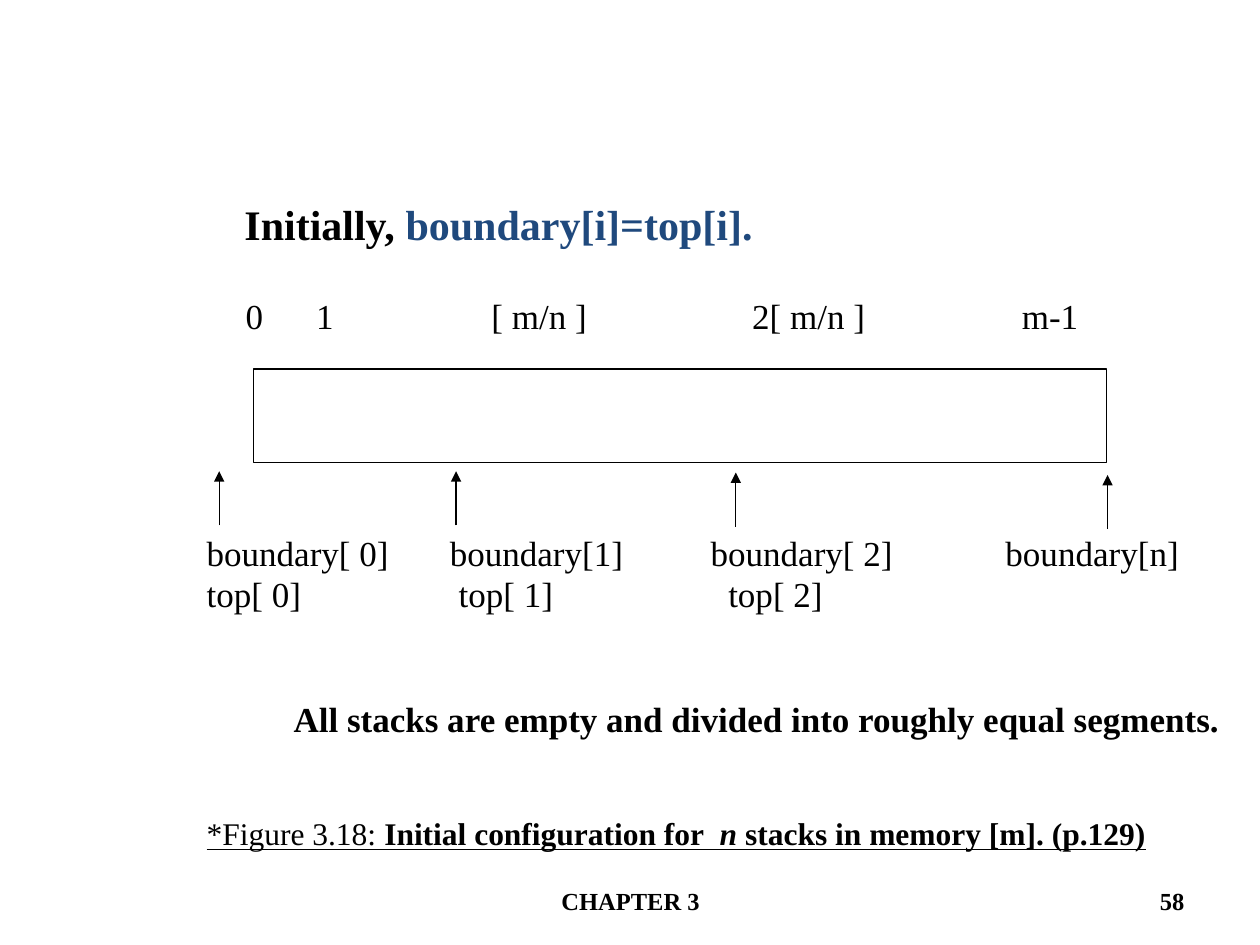
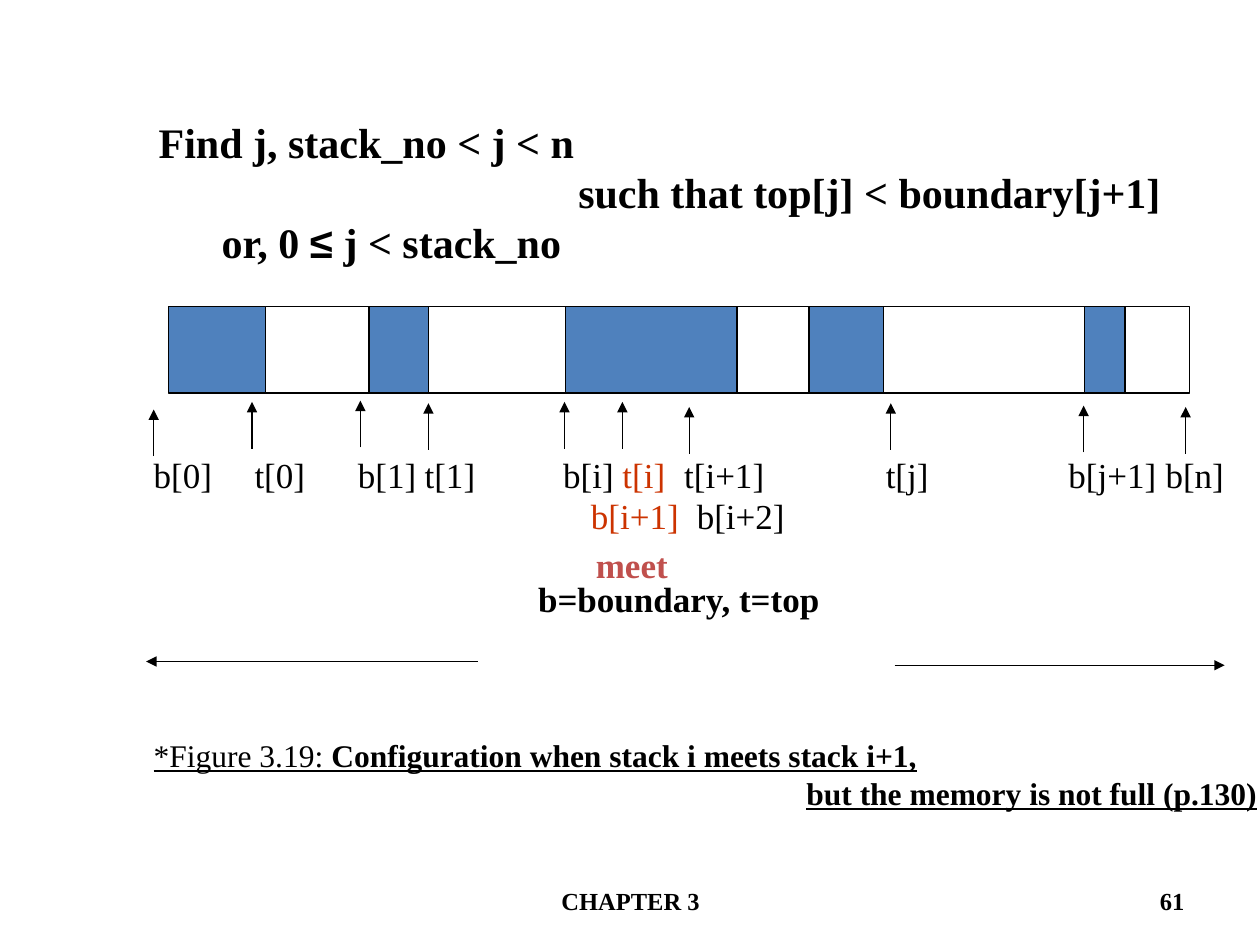
from lxml import etree
from pptx import Presentation
from pptx.dml.color import RGBColor
from pptx.enum.shapes import MSO_CONNECTOR, MSO_SHAPE
from pptx.enum.text import MSO_ANCHOR, PP_ALIGN
from pptx.oxml.ns import qn
from pptx.util import Inches, Pt

BLACK = RGBColor(0x00, 0x00, 0x00)
NAVY = RGBColor(0x1F, 0x49, 0x7D)
BLUE = RGBColor(0x4F, 0x81, 0xBD)
ORANGE = RGBColor(0xCC, 0x33, 0x00)
RED = RGBColor(0xC0, 0x50, 0x4D)

LEFT, CENTER, RIGHT = PP_ALIGN.LEFT, PP_ALIGN.CENTER, PP_ALIGN.RIGHT
TOP, MIDDLE = MSO_ANCHOR.TOP, MSO_ANCHOR.MIDDLE
RECTANGLE = MSO_SHAPE.RECTANGLE
STRAIGHT = MSO_CONNECTOR.STRAIGHT

FONT = "Times New Roman"
TITLE, LABEL, CAPTION, FOOTER = 24, 20, 18, 14
LINE_RATIO = 1.19
LINE_WIDTH = Pt(0.75)

PLAIN = {}
BOLD = {"bold": True}
UNDERLINED = {"underline": True}
BOLD_UNDERLINED = {"bold": True, "underline": True}


def add_text(slide, box, paragraphs, align=LEFT, anchor=TOP):
    """Each paragraph is (size, skipped lines before it, tab stops, runs)."""
    frame = slide.shapes.add_textbox(*map(Inches, box)).text_frame
    frame.word_wrap = True
    frame.vertical_anchor = anchor
    frame.margin_left = frame.margin_right = 0
    for number, (size, skipped, stops, runs) in enumerate(paragraphs):
        paragraph = frame.add_paragraph() if number else frame.paragraphs[0]
        if stops:
            tab_list = etree.SubElement(paragraph._p.get_or_add_pPr(), qn("a:tabLst"))
            for stop in stops:
                etree.SubElement(tab_list, qn("a:tab"), pos=str(Inches(stop)), algn="l")
        paragraph.alignment = align
        paragraph.line_spacing = Pt(size * LINE_RATIO)
        if skipped:
            paragraph.space_before = Pt(skipped * LINE_RATIO)
        for text, formats in runs:
            run = paragraph.add_run()
            run.text = text
            values = {"name": FONT, "size": Pt(size), "color": BLACK, **formats}
            run.font.color.rgb = values.pop("color")
            for attribute, value in values.items():
                setattr(run.font, attribute, value)


def add_arrow(slide, x1, y1, x2, y2):
    arrow = slide.shapes.add_connector(STRAIGHT, *map(Inches, (x1, y1, x2, y2)))
    arrow.line.color.rgb = BLACK
    arrow.line.width = LINE_WIDTH
    etree.SubElement(arrow.line._get_or_add_ln(), qn("a:tailEnd"), type="triangle")
    etree.SubElement(arrow._element.spPr, qn("a:effectLst"))


prs = Presentation()
prs.slide_width, prs.slide_height = Inches(10), Inches(7.5)
initial = prs.slides.add_slide(prs.slide_layouts[6])
meeting = prs.slides.add_slide(prs.slide_layouts[6])

# Footers
for slide, page in ((initial, "58"), (meeting, "61")):
    add_text(slide, (3.42, 6.95, 3.17, 0.4),
             [(FOOTER, 0, (), [("CHAPTER 3", BOLD)])], CENTER, MIDDLE)
    add_text(slide, (7.17, 6.95, 2.23, 0.4),
             [(FOOTER, 0, (), [(page, BOLD)])], RIGHT, MIDDLE)

# Memory bars: the whole memory first, then the used parts
memory_parts = [
    (initial, 2.01, 2.93, 6.77, 0.74, None),
    (meeting, 1.36, 2.43, 8.08, 0.69, None),
]
for left, width in ((1.34, 0.77), (2.93, 0.47), (4.49, 1.36), (6.42, 0.59), (8.61, 0.32)):
    memory_parts.append((meeting, left, 2.43, width, 0.69, BLUE))
for slide, left, top, width, height, color in memory_parts:
    part = slide.shapes.add_shape(RECTANGLE, *map(Inches, (left, top, width, height)))
    part.shadow.inherit = False
    part.line.color.rgb = BLACK
    part.line.width = LINE_WIDTH
    if color is None:
        part.fill.background()
    else:
        part.fill.solid()
        part.fill.fore_color.rgb = color

# Pointers up to the bars: x, tip
for x, tip in ((1.74, 3.74), (3.62, 3.74), (5.84, 3.75), (8.79, 3.77)):
    add_arrow(initial, x, tip + 0.43, x, tip)
for x, tip in ((1.22, 3.25), (2, 3.19), (2.86, 3.18), (3.4, 3.2), (4.48, 3.19),
               (4.94, 3.19), (5.47, 3.23), (7.07, 3.2), (8.6, 3.22), (9.41, 3.23)):
    add_arrow(meeting, x, tip + 0.37, x, tip)

# Search directions
add_arrow(meeting, 3.79, 5.25, 1.16, 5.25)
add_arrow(meeting, 7.1, 5.28, 9.72, 5.28)

# Initial configuration
add_text(initial, (1.94, 1.53, 4.25, 0.5), [
    (TITLE, 0, (), [("Initially, ", BOLD),
                    ("boundary[i]=top[i].", {"bold": True, "color": NAVY})]),
])
add_text(initial, (1.82, 2.29, 7.14, 0.44), [
    (LABEL, 0, (0.13, 0.69, 2.08, 4.15, 6.29),
     [("\t0\t1\t[ m/n ]\t2[ m/n ]\tm-1", PLAIN)]),
])
add_text(initial, (1.64, 4.17, 8.2, 2.67), [
    (LABEL, 0, (1.93, 4, 6.34),
     [("boundary[ 0]\tboundary[1]\tboundary[ 2]\tboundary[n]", PLAIN)]),
    (LABEL, 0, (2, 4.14), [("top[ 0]\ttop[ 1]\ttop[ 2]", PLAIN)]),
    (LABEL, 2 * LABEL, (0.69,),
     [("\tAll stacks are empty and divided into roughly equal segments.", BOLD)]),
    (CAPTION, 2 * CAPTION, (), [
        ("*Figure 3.18: ", UNDERLINED),
        ("Initial configuration for ", BOLD_UNDERLINED),
        (" n ", {**BOLD_UNDERLINED, "italic": True}),
        ("stacks in memory [m]. (p.129)", BOLD_UNDERLINED),
    ]),
])

# Stack i meets stack i+1
add_text(meeting, (1.26, 0.88, 8.2, 1.3), [
    (TITLE, 0, (), [("Find j, stack_no < j < n", BOLD)]),
    (TITLE, 0, (3.33,), [("\tsuch that top[j] < boundary[j+1]", BOLD)]),
    (TITLE, 0, (0.5,), [("\tor, 0 ", BOLD),
                        ("≤", {"bold": True, "name": "Arial"}),
                        (" j < stack_no", BOLD)]),
])
add_text(meeting, (1.22, 3.55, 8.78, 2.97), [
    (LABEL, 0, (0.8, 1.62, 2.15, 3.25, 3.72, 4.21, 5.81, 7.26, 8.03), [
        ("b[0]\tt[0]\tb[1]\tt[1]\tb[i]\t", PLAIN),
        ("t[i]", {"color": ORANGE}),
        ("\tt[i+1]\tt[j]\tb[j+1]\tb[n]", PLAIN),
    ]),
    (LABEL, 0, (3.47, 4.31), [("\tb[i+1]", {"color": ORANGE}), ("\tb[i+2]", PLAIN)]),
    (LABEL, LABEL, (3.05,), [("\tb=boundary, t=top", BOLD)]),
    (CAPTION, LABEL + 2 * CAPTION, (), [
        ("*Figure 3.19: ", UNDERLINED),
        ("Configuration when stack i meets stack i+1,", BOLD_UNDERLINED),
    ]),
    (CAPTION, 0, (5.18,), [("\t", BOLD),
                           ("but the memory is not full (p.130)", BOLD_UNDERLINED)]),
])
add_text(meeting, (4.63, 4.27, 0.77, 0.44),
         [(LABEL, 0, (), [("meet", {"bold": True, "color": RED})])], CENTER)

prs.save("out.pptx")
